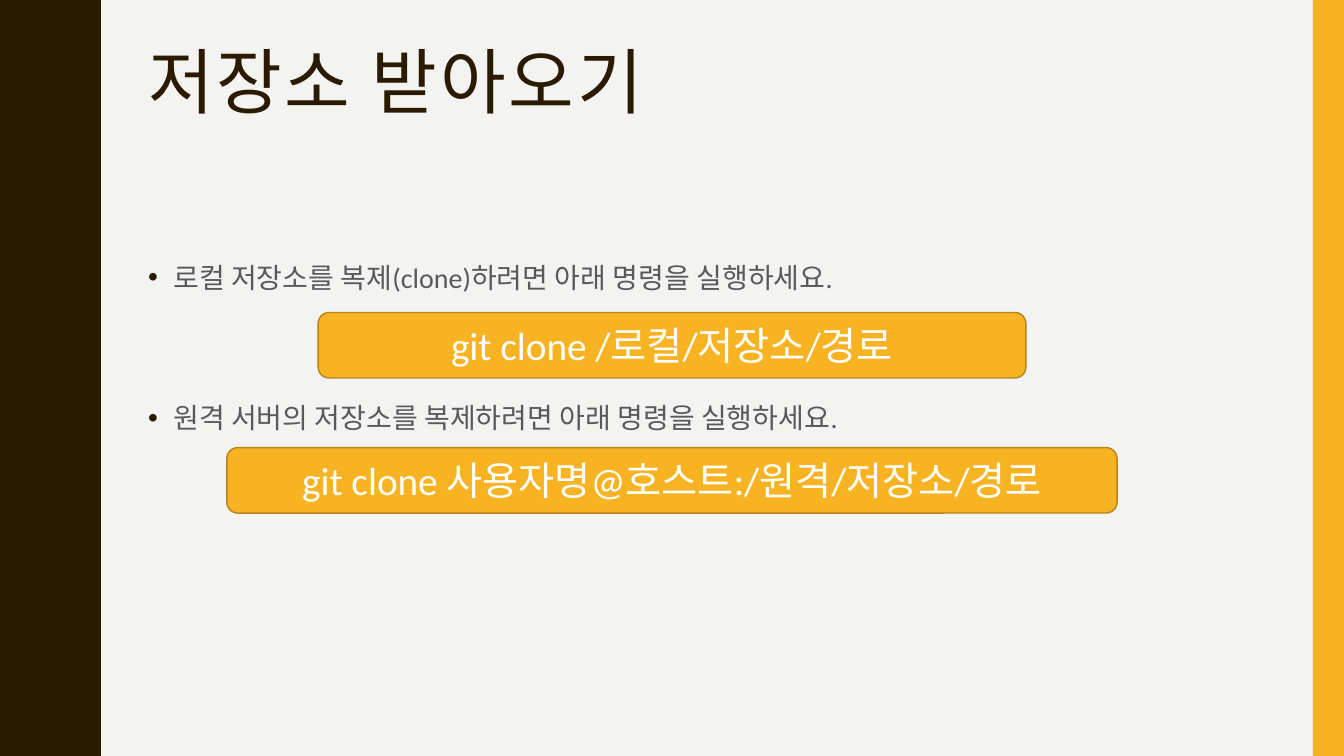
import pptx
import pptx.util
import pptx.dml.color
import pptx.enum.shapes
import pptx.enum.text
import pptx.oxml
import pptx.oxml.ns
from dataclasses import dataclass

TITLE = "저장소 받아오기"
STEPS = [
    "로컬 저장소를 복제(clone)하려면 아래 명령을 실행하세요.",
    "원격 서버의 저장소를 복제하려면 아래 명령을 실행하세요.",
]
CODES = [
    ("git clone /로컬/저장소/경로", 7.02),
    ("git clone 사용자명@호스트:/원격/저장소/경로", 8.83),
]
WAVE = [
    (0.78, 0), (0.78, 0.07), (0.79, 0.14), (0.8, 0.2), (0.81, 0.25),
    (0.83, 0.29), (0.85, 0.33), (0.87, 0.38), (0.89, 0.42), (0.91, 0.46),
    (0.93, 0.5), (0.95, 0.55), (0.96, 0.61), (0.97, 0.68), (0.97, 0.75),
]


@dataclass(frozen=True)
class Theme:
    back: str = "F3F3F2"
    dark: str = "2A1A00"
    gold: str = "F8B323"
    edge: str = "B7841A"
    gray: str = "595959"
    white: str = "FFFFFF"
    head: str = "Roboto Condensed"
    body: str = "Calibri"
    large: int = 51
    mid: int = 28
    small: int = 20


T = Theme()
WIDE, HIGH = 13.33, 7.5
LEFT, SPAN = 1.37, 11.13
PERIOD = HIGH / 5
BAR = 0.31
CODE_TOP, CODE_STEP, CODE_HIGH = 3.1, 1.34, 0.65
inch = pptx.util.Inches
point = pptx.util.Pt
KIND = pptx.enum.shapes.MSO_SHAPE
ALIGN = pptx.enum.text.PP_ALIGN
ANCHOR = pptx.enum.text.MSO_ANCHOR


def color(code):
    return pptx.dml.color.RGBColor.from_string(code)


def paint(shape, fill, edge=None):
    shape.shadow.inherit = False
    shape.fill.solid()
    shape.fill.fore_color.rgb = color(fill)
    if edge:
        shape.line.color.rgb = color(edge)
        shape.line.width = point(1)
    else:
        shape.line.fill.background()


def write(para, text, font=T.body, size=T.small, tint=T.gray,
          align=None, lead=None, before=0, track=0, dot=None):
    run = para.add_run()
    run.text = text
    run.font.name = font
    run.font.size = point(size)
    run.font.color.rgb = color(tint)
    para.alignment = align
    para.line_spacing = lead
    para.space_before = point(before)
    if track:
        run.font._element.set("spc", str(track * 100))
    if dot:
        props = para._p.get_or_add_pPr()
        props.set("marL", str(inch(0.25)))
        props.set("indent", str(-inch(0.25)))
        space = pptx.oxml.ns.nsdecls("a")
        for part in (f'<a:buClr {space}><a:srgbClr val="{dot}"/></a:buClr>',
                     f'<a:buFont {space} typeface="Arial"/>',
                     f'<a:buChar {space} char="•"/>'):
            props.append(pptx.oxml.parse_xml(part))


def frame(slide, top, high):
    box = slide.shapes.add_textbox(inch(LEFT), inch(top), inch(SPAN), inch(high))
    box.text_frame.word_wrap = True
    return box.text_frame


def border(slide):
    cycle = WAVE + [(x, PERIOD - y) for x, y in WAVE[-2::-1]]
    edge = [(x, y + PERIOD * turn) for turn in range(5) for x, y in cycle]
    pen = slide.shapes.build_freeform(0, 0, scale=inch(1))
    pen.add_line_segments(edge + [(0, HIGH)], close=True)
    paint(pen.convert_to_shape(), T.dark)
    bar = slide.shapes.add_shape(
        KIND.RECTANGLE, inch(WIDE - BAR), 0, inch(BAR), inch(HIGH))
    paint(bar, T.gold)


def main():
    deck = pptx.Presentation()
    deck.slide_width, deck.slide_height = inch(WIDE), inch(HIGH)
    slide = deck.slides.add_slide(deck.slide_layouts[6])
    slide.background.fill.solid()
    slide.background.fill.fore_color.rgb = color(T.back)
    border(slide)

    title = frame(slide, 0.42, 1.63)
    write(title.paragraphs[0], TITLE, font=T.head, size=T.large,
          tint=T.dark, lead=0.9, track=2)

    body = frame(slide, 2.5, 3.93)
    for row, text in enumerate(STEPS):
        para = body.add_paragraph() if row else body.paragraphs[0]
        write(para, text, lead=1.1, before=74 if row else 7, dot=T.dark)

    for row, (text, wide) in enumerate(CODES):
        code = slide.shapes.add_shape(
            KIND.ROUNDED_RECTANGLE, inch((WIDE - wide) / 2),
            inch(CODE_TOP + row * CODE_STEP), inch(wide), inch(CODE_HIGH))
        paint(code, T.gold, T.edge)
        code.text_frame.word_wrap = True
        code.text_frame.vertical_anchor = ANCHOR.MIDDLE
        write(code.text_frame.paragraphs[0], text, size=T.mid,
              tint=T.white, align=ALIGN.CENTER)

    deck.save("out.pptx")


if __name__ == "__main__":
    main()
